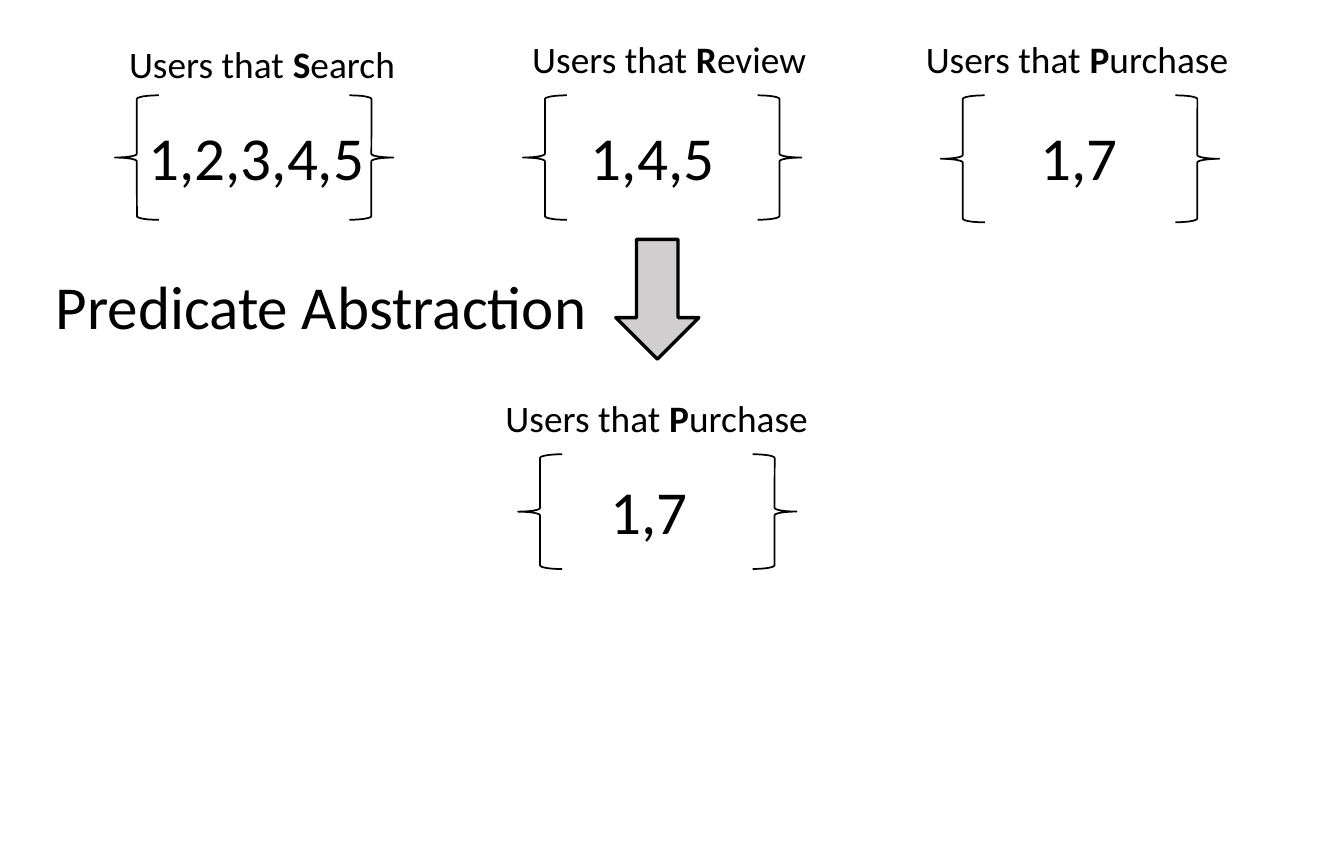
from pptx import Presentation
from pptx.dml.color import RGBColor
from pptx.enum.shapes import MSO_SHAPE
from pptx.enum.text import MSO_AUTO_SIZE
from pptx.util import Pt

PX = 9144
BLACK = RGBColor(0x00, 0x00, 0x00)
GREY = RGBColor(0xD0, 0xCE, 0xCE)
BRACE = 18

SETS = [
    ("Search", "1,2,3,4,5", (47, 39, 114, 51), (-4, -27, 160), (4, 5, 109)),
    ("Review", "1,4,5", (214, 39, 114, 51), (-6, -29, 134), (18, 5, 71)),
    ("Purchase", "1,7", (385, 39, 114, 52), (-16, -29, 145), (31, 5, 52)),
    ("Purchase", "1,7", (212, 186, 114, 47), (-15, -29, 145), (28, 3, 52)),
]


def emu(box):
    """Turn a box in px into EMU."""
    return [n * PX for n in box]


def write(slide, box, *runs, size=18, bold=None, wrap=False):
    """Write runs on one line; the run numbered by bold is bold."""
    frame = slide.shapes.add_textbox(*emu(box)).text_frame
    frame.word_wrap = wrap
    frame.auto_size = MSO_AUTO_SIZE.SHAPE_TO_FIT_TEXT
    for i, text in enumerate(runs):
        run = frame.paragraphs[0].add_run()
        run.text = text
        font = run.font
        font.name, font.size, font.bold = "Calibri", Pt(size), i == bold
        font.color.rgb = BLACK


def draw(slide, kind, box, width, fill=None):
    """Draw a preset shape with a black outline."""
    shape = slide.shapes.add_shape(kind, *emu(box))
    shape.shadow.inherit = False
    shape.line.color.rgb = BLACK
    shape.line.width = Pt(width)
    if fill is None:
        shape.fill.background()
    else:
        shape.fill.solid()
        shape.fill.fore_color.rgb = fill


def add_set(slide, name, value, box, label, inner):
    """Draw a labelled set between braces in its box."""
    x, y, w, h = box
    draw(slide, MSO_SHAPE.LEFT_BRACE, (x, y, BRACE, h), 0.5)
    draw(slide, MSO_SHAPE.RIGHT_BRACE, (x + w - BRACE, y, BRACE, h), 0.5)
    dx, dy, wide = inner
    write(slide, (x + dx, y + dy, wide, 40), value)
    dx, dy, wide = label
    write(slide, (x + dx, y + dy, wide, 29), "Users that ", name[0], name[1:],
          size=11, bold=1, wrap=True)


def add_step(slide, box):
    """Draw the abstraction step: its title and the arrow down."""
    x, y, w, h = box
    draw(slide, MSO_SHAPE.DOWN_ARROW, (x + w - 34, y, 34, h), 1, GREY)
    write(slide, (x, y + 7, 240, 40), "Predicate Abstraction")


def main():
    """Build and save the slide."""
    deck = Presentation()
    deck.slide_width, deck.slide_height = emu((550, 350))
    slide = deck.slides.add_slide(deck.slide_layouts[6])
    add_step(slide, (13, 98, 273, 49))
    for item in SETS:
        add_set(slide, *item)
    deck.save("out.pptx")


if __name__ == "__main__":
    main()
